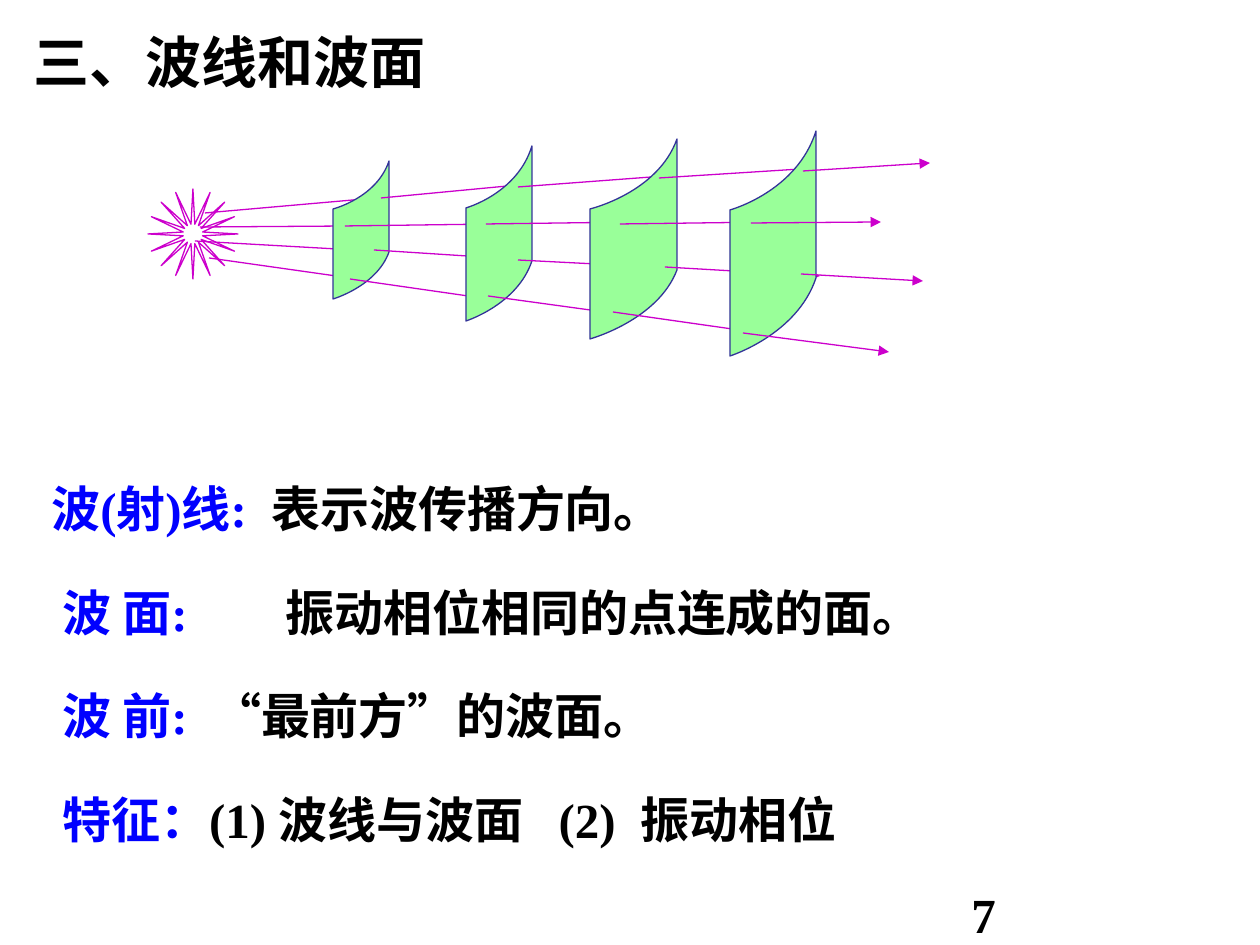
from dataclasses import dataclass

from pptx import Presentation
from pptx import util as u
from pptx.dml.color import RGBColor
from pptx.enum import shapes as sh
from pptx.oxml import xmlchemy as xc

SCALE = u.Inches(1) / 126


@dataclass(frozen=True)
class Theme:
    """Colours, fonts and sizes of the slide."""
    ink: str = "000000"
    term: str = "0000FF"
    ray: str = "CC00CC"
    face: str = "99FF99"
    edge: str = "333399"
    latin: str = "Times New Roman"
    cjk: str = "Noto Sans CJK SC"
    head: int = 32
    body: int = 28
    line: float = 0.75


T = Theme()

RAYS = [
    [(205, 213, 387, 197), (200, 227, 352, 226), (195, 241, 372, 251), (209, 258, 336, 276)],
    [(381, 198, 518, 185), (345, 226, 495, 224), (374, 250, 529, 260), (350, 279, 496, 300)],
    [(518, 187, 665, 176), (486, 224, 636, 222), (518, 260, 674, 268), (488, 296, 634, 316)],
    [(659, 178, 801, 169), (620, 224, 770, 222), (665, 267, 820, 276), (613, 312, 760, 333)],
    [(803, 171, 930, 163), (751, 223, 881, 222), (801, 274, 923, 281), (743, 333, 889, 352)],
]
FACES = [
    (333, 389, 209, 299, 161, 252),
    (466, 532, 208, 321, 146, 261),
    (590, 677, 209, 339, 139, 270),
    (730, 816, 210, 356, 131, 278),
]
NOTES = [
    (0, [("波(射)线:", T.term, 7), ("表示波传播方向。", T.ink, 0)]),
    (11, [("波 面:", T.term, 49), ("振动相位相同的点连成的面。", T.ink, 0)]),
    (11, [("波 前:", T.term, 7), ("“最前方”的波面。", T.ink, 0)]),
    (11, [("特征：", T.term, 0), ("(1) 波线与波面", T.ink, 14), ("(2)", T.ink, 7),
          ("振动相位", T.ink, 0)]),
]


def px(n):
    """Turn px into EMU."""
    return u.Emu(round(n * SCALE))


def rgb(code):
    """Make a colour."""
    return RGBColor.from_string(code)


def sub(node, tag, **attrs):
    """Add a child element with attributes."""
    kid = node.makeelement(xc.qn(tag), attrs)
    node.append(kid)
    return kid


def box(slide, left, top, wide, high):
    """Add a text box and return its frame."""
    frame = slide.shapes.add_textbox(*map(px, (left, top, wide, high))).text_frame
    frame.word_wrap = True
    return frame


def run(para, words, size, face, hue):
    """Add one bold run and return it."""
    piece = para.add_run()
    piece.text = words
    font = piece.font
    font.size, font.name, font.bold = u.Pt(size), face, True
    font.color.rgb = rgb(hue)
    return piece


def label(slide, place, words, size, face):
    """Add a text box of one run."""
    run(box(slide, *place).paragraphs[0], words, size, face, T.ink)


def notes(slide):
    """Add the list of terms, with widened spaces between the parts."""
    frame = box(slide, 39, 437, 1046, 428)
    for i, (dent, parts) in enumerate(NOTES):
        para = frame.add_paragraph() if i else frame.paragraphs[0]
        para.line_spacing = u.Pt(54)
        if i:
            para.space_before = u.Pt(5.2)
        props = para._p.get_or_add_pPr()
        props.set("marL", "0")
        props.set("indent", str(px(dent)))
        for words, hue, gap in parts:
            run(para, words, T.body, T.latin, hue)
            if gap:
                space = run(para, " ", T.body, T.latin, hue)
                space.font._element.set("spc", str(gap * 100))


def stroke(shape, hue):
    """Set the line of a shape."""
    shape.line.color.rgb = rgb(hue)
    shape.line.width = u.Pt(T.line)


def ray(slide, ends, tip):
    """Draw one piece of a ray."""
    wire = slide.shapes.add_connector(sh.MSO_CONNECTOR.STRAIGHT, *map(px, ends))
    stroke(wire, T.ray)
    if tip:
        sub(wire.line._get_or_add_ln(), "a:tailEnd", type="triangle")
    sub(wire._element.spPr, "a:effectLst")


def bend(side, dots):
    """Turn a straight side into a curve with two control points."""
    side.tag = xc.qn("a:cubicBezTo")
    for i, (x, y) in enumerate(dots):
        dot = side.makeelement(xc.qn("a:pt"), {"x": str(px(x)), "y": str(px(y))})
        side.insert(i, dot)


def front(slide, x0, x1, top, low, peak, foot):
    """Draw one curved wave surface."""
    spots = [(x0, low), (x1, foot), (x1, peak), (x0, top)]
    pen = slide.shapes.build_freeform(px(x0), px(top))
    pen.add_line_segments([tuple(map(px, spot)) for spot in spots], close=True)
    sheet = pen.convert_to_shape()
    sides = list(sheet._element.iter(xc.qn("a:lnTo")))
    knee = 0.78 * (x1 - x0)
    bend(sides[1], [(0, low - peak), (knee, low - peak + 0.27 * (foot - low))])
    bend(sides[3], [(knee, top - peak + 0.23 * (peak - top)), (0, top - peak)])
    sheet.shadow.inherit = False
    sheet.fill.solid()
    sheet.fill.fore_color.rgb = rgb(T.face)
    stroke(sheet, T.edge)


def star(slide):
    """Draw the wave source."""
    burst = slide.shapes.add_shape(sh.MSO_SHAPE.STAR_16_POINT, *map(px, (148, 189, 90, 90)))
    burst.adjustments[0] = 0.11
    burst.shadow.inherit = False
    burst.fill.background()
    stroke(burst, T.ray)


def main():
    """Build and save the slide."""
    deck = Presentation()
    deck.slide_width, deck.slide_height = px(1260), px(945)
    slide = deck.slides.add_slide(deck.slide_layouts[6])
    label(slide, (959, 878, 294, 65), "7", T.body, T.latin)
    label(slide, (21, 21, 473, 81), "三、波线和波面", T.head, T.cjk)
    for i, rays in enumerate(RAYS):
        for j, ends in enumerate(rays):
            ray(slide, ends, i == 4 or (i == 3 and j > 0))
        if i < len(FACES):
            front(slide, *FACES[i])
    star(slide)
    notes(slide)
    deck.save("out.pptx")


if __name__ == "__main__":
    main()
